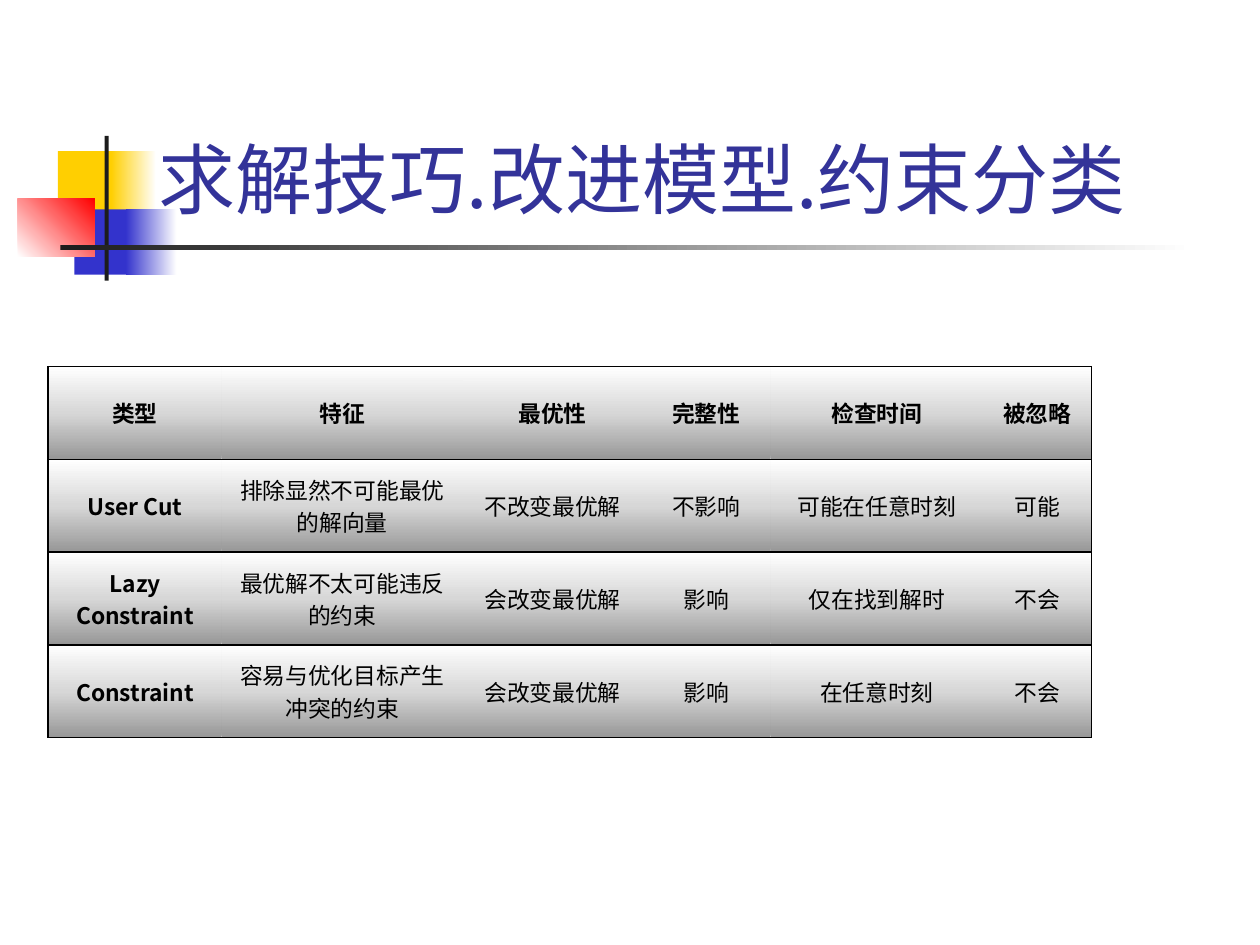
from lxml.etree import SubElement as Sub
from pptx import Presentation
from pptx.dml.color import RGBColor as RGB
from pptx.enum.shapes import MSO_SHAPE as Preset
from pptx.enum.text import MSO_ANCHOR as Anchor, MSO_AUTO_SIZE as AutoSize, PP_ALIGN as Align
from pptx.oxml.ns import qn
from pptx.util import Cm, Pt

COLORS = {
    "yellow": "FFCF01", "blue": "3333CC", "red": "FF0000", "white": "FFFFFF",
    "ink": "1C1C1C", "title": "333399", "black": "000000",
    "dark_gray": "979797", "light_gray": "D7D7D7",
}
FONT = "Noto Sans CJK SC"

DECORATION = [
    ((1.17, 3.05, 1.22, 1.32), ["yellow"], 0),
    ((2.24, 3.05, 0.91, 1.32), ["yellow", "white"], 0),
    ((1.5, 4.22, 1.17, 1.32), ["blue"], 0),
    ((2.54, 4.22, 1.02, 1.32), ["blue", "white"], 0),
    ((0.36, 4.01, 1.55, 1.17), ["white", "red"], 315),
    ((2.11, 2.74, 0.08, 2.92), ["ink"], 0),
    ((1.22, 4.94, 22.86, 0.1), ["ink", "white"], 0),
]

COLUMN_WIDTHS = [3.5, 4.86, 3.61, 2.59, 4.29, 2.18]
CONSTRAINT_TYPES = [
    ["类型", "特征", "最优性", "完整性", "检查时间", "被忽略"],
    ["User Cut", "排除显然不可能最优的解向量", "不改变最优解", "不影响", "可能在任意时刻", "可能"],
    ["Lazy Constraint", "最优解不太可能违反的约束", "会改变最优解", "影响", "仅在找到解时", "不会"],
    ["Constraint", "容易与优化目标产生冲突的约束", "会改变最优解", "影响", "在任意时刻", "不会"],
]


def write(frame, text, size, color, bold=False, align=Align.CENTER):
    paragraph = frame.paragraphs[0]
    paragraph.alignment = align
    run = paragraph.add_run()
    run.text = text
    run.font.size = Pt(size)
    run.font.bold = bold
    run.font.name = FONT
    run.font.color.rgb = RGB.from_string(COLORS[color])
    Sub(run.font._element, qn("a:ea"), typeface=FONT)


class SlideBuilder:
    def __init__(self, slide):
        self.slide = slide
        self.cell_gradient = ["dark_gray", "light_gray", "white"]
        self.border_width = Pt(1)

    def paint(self, fill, names, angle):
        if len(names) == 1:
            fill.solid()
            fill.fore_color.rgb = RGB.from_string(COLORS[names[0]])
            return
        fill.gradient()
        fill.gradient_angle = (360 - angle) % 360
        stops = fill.gradient_stops._gsLst
        for stop in list(stops):
            stops.remove(stop)
        for index, name in enumerate(names):
            position = 100000 * index // (len(names) - 1)
            stop = Sub(stops, qn("a:gs"), pos=str(position))
            Sub(stop, qn("a:srgbClr"), val=COLORS[name])

    def block(self, box, names, angle):
        block = self.slide.shapes.add_shape(Preset.RECTANGLE, *map(Cm, box))
        block.shadow.inherit = False
        block.line.fill.background()
        self.paint(block.fill, names, angle)

    def title(self, text, box):
        title = self.slide.shapes.title
        title.left, title.top, title.width, title.height = map(Cm, box)
        title.text_frame.auto_size = AutoSize.NONE
        title.text_frame.vertical_anchor = Anchor.BOTTOM
        write(title.text_frame, text, size=44, color="title")
        self.slide.shapes._spTree.append(title._element)

    def borders(self, cell, visible):
        properties = cell._tc.get_or_add_tcPr()
        for side in "LRTB":
            line = Sub(properties, qn(f"a:ln{side}"), w=str(self.border_width))
            if side in visible:
                solid = Sub(line, qn("a:solidFill"))
                Sub(solid, qn("a:srgbClr"), val=COLORS["black"])
            else:
                Sub(line, qn("a:noFill"))

    def table(self, rows, widths, left, top, row_height):
        frame = self.slide.shapes.add_table(
            len(rows), len(widths), Cm(left), Cm(top),
            Cm(sum(widths)), Cm(row_height * len(rows)))
        table = frame.table
        for column, width in zip(table.columns, widths):
            column.width = Cm(width)
        for r, row in enumerate(rows):
            table.rows[r].height = Cm(row_height)
            for c, text in enumerate(row):
                cell = table.cell(r, c)
                cell.vertical_anchor = Anchor.MIDDLE
                cell.margin_left = cell.margin_right = Cm(0.24)
                cell.margin_top = cell.margin_bottom = Cm(0.11)
                left_side = "L" if c == 0 else ""
                right_side = "R" if c == len(widths) - 1 else ""
                self.borders(cell, "TB" + left_side + right_side)
                self.paint(cell.fill, self.cell_gradient, 270)
                write(cell.text_frame, text, size=13, color="black", bold=r == 0 or c == 0)


def main():
    deck = Presentation()
    deck.slide_width, deck.slide_height = Cm(25.4), Cm(19.05)
    builder = SlideBuilder(deck.slides.add_slide(deck.slide_layouts[5]))
    for box, names, angle in DECORATION:
        builder.block(box, names, angle)
    builder.title("求解技巧.改进模型.约束分类", (1.09, 0.58, 23.72, 4.06))
    builder.table(CONSTRAINT_TYPES, COLUMN_WIDTHS, left=0.97, top=7.39, row_height=1.87)
    deck.save("out.pptx")


if __name__ == "__main__":
    main()
